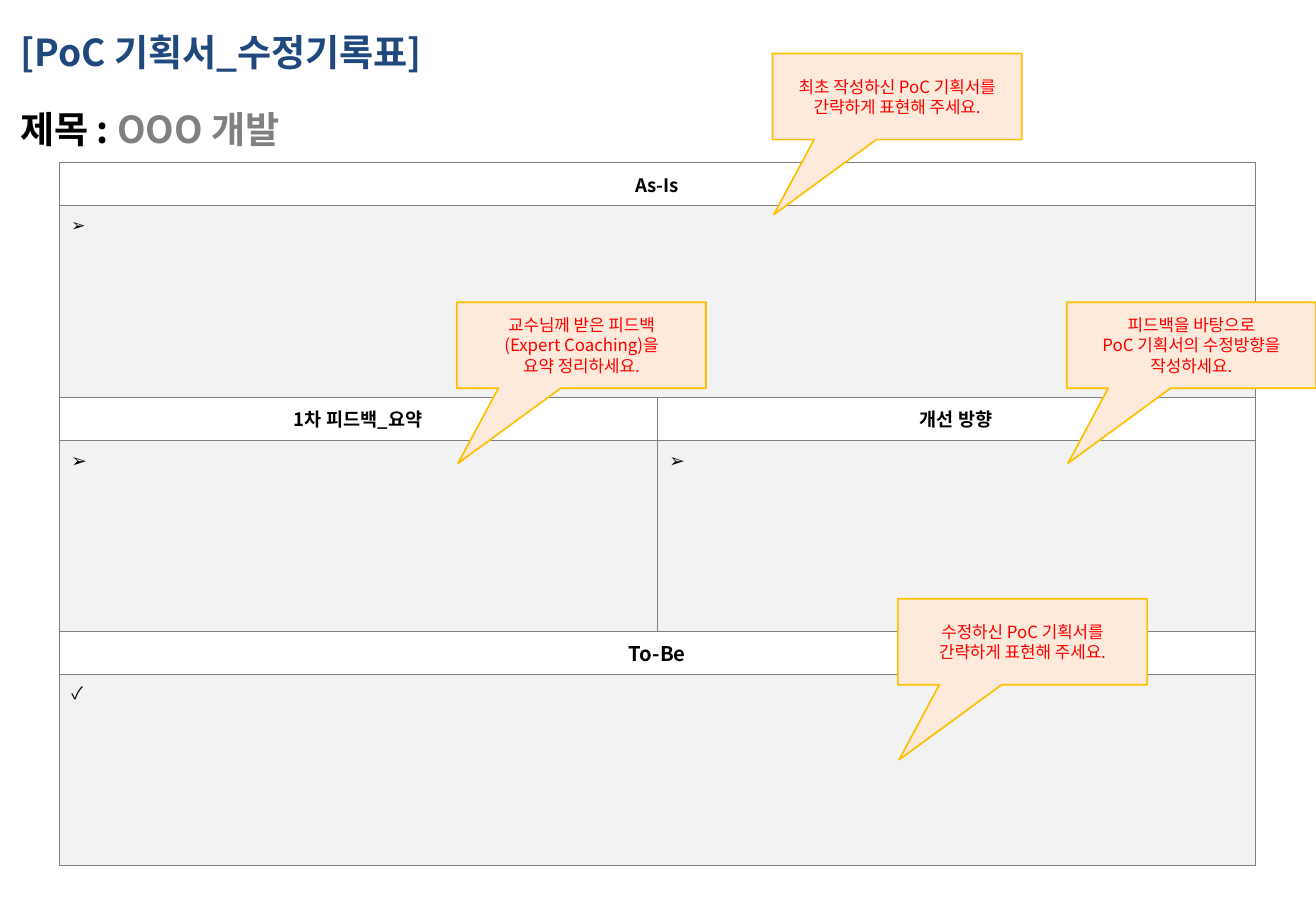
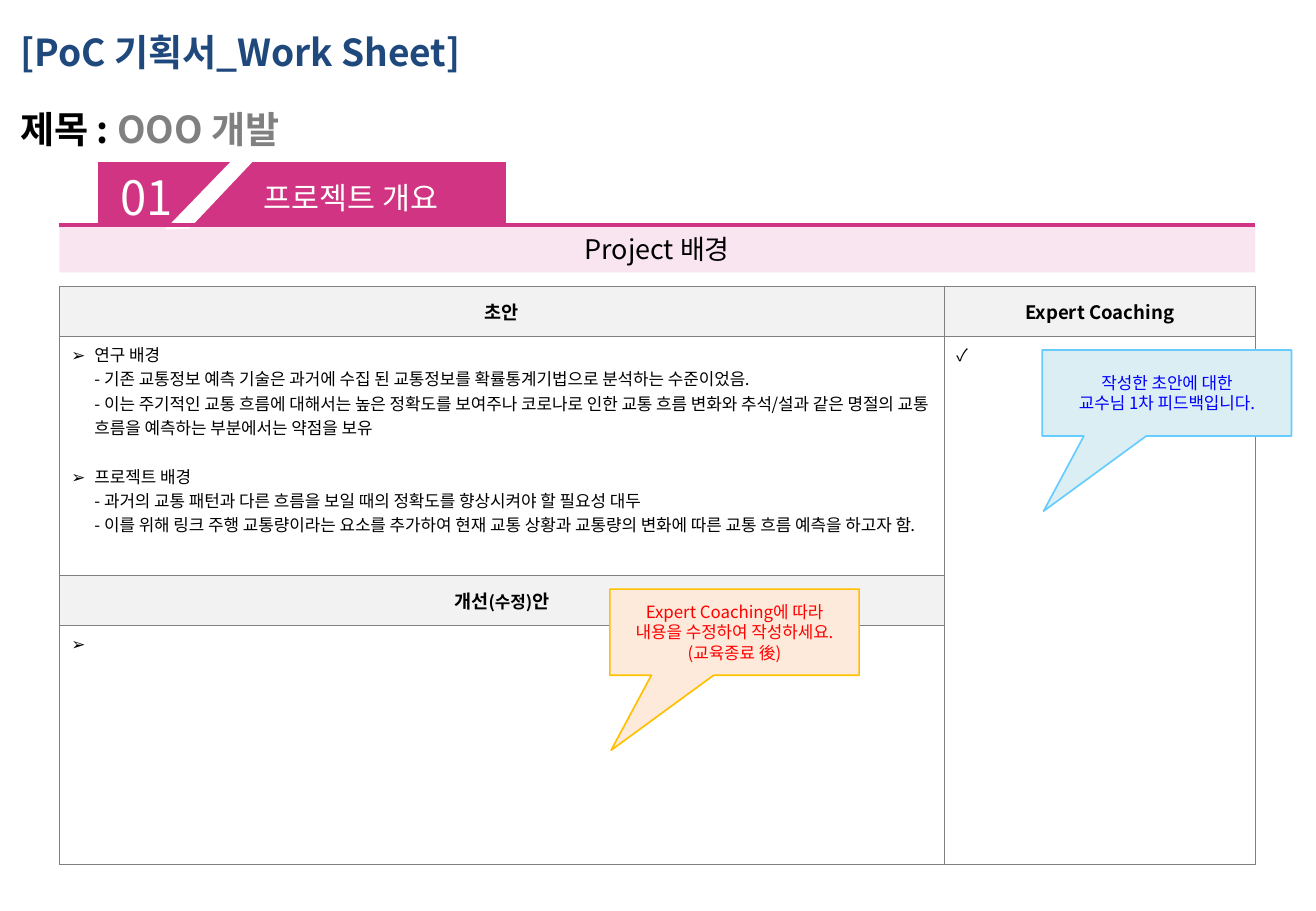
"""Build the PoC plan revision record and work sheet slides."""
from dataclasses import dataclass
from typing import Any, Optional

from lxml import etree
from pptx import Presentation
from pptx import util as u
from pptx.dml.color import RGBColor
from pptx.enum import shapes, text
from pptx.oxml import ns

Cm, Pt = u.Cm, u.Pt
FACE = "Noto Sans CJK KR"
NAVY, BLACK, GRAY, WHITE, PALE = "1F497D", "000000", "808080", "FFFFFF", "F2F2F2"
PINK, BLUSH = "D03482", "F9E5EF"
LEFT, WIDE = 1.24, 25
MID = text.PP_ALIGN.CENTER
ARROW, CHECK = "➢", "✓"


@dataclass
class Run:
    words: str
    size: Optional[float] = None
    color: Optional[str] = None


@dataclass
class Para:
    runs: list[Run]
    size: float = 10
    color: str = BLACK
    bold: bool = False
    align: Any = None
    mark: str = ""
    line: Optional[float] = None
    before: float = 0
    after: float = 0


@dataclass
class Tone:
    fill: str
    edge: str
    ink: str


@dataclass
class Note:
    left: float
    top: float
    lines: list[str]
    tone: Tone


@dataclass
class Cell:
    row: int
    col: int
    paras: list[Para]
    fill: str = WHITE
    down: int = 1
    over: int = 1


WARM = Tone("FDEADA", "FFC000", "FF0000")
COOL = Tone("DBEEF4", "66CCFF", "0000FF")


def rgb(code: str) -> RGBColor:
    """Turn a hex string into a colour."""
    return RGBColor.from_string(code)


def paint(part: Any, code: str) -> None:
    """Give a shape or cell a solid fill."""
    part.fill.solid()
    part.fill.fore_color.rgb = rgb(code)


def write(frame: Any, paras: list[Para]) -> None:
    """Write paragraphs into a text frame."""
    for num, item in enumerate(paras):
        para = frame.add_paragraph() if num else frame.paragraphs[0]
        if item.mark:
            props = para._p.get_or_add_pPr()
            props.set("marL", str(Cm(0.48)))
            props.set("indent", str(Cm(-0.48)))
            etree.SubElement(props, ns.qn("a:buFont")).set("typeface", FACE)
            etree.SubElement(props, ns.qn("a:buChar")).set("char", item.mark)
        para.alignment = item.align
        para.line_spacing = item.line
        para.space_before = Pt(item.before)
        para.space_after = Pt(item.after)
        font = para.font
        font.size, font.bold, font.name = Pt(item.size), item.bold, FACE
        font.color.rgb = rgb(item.color)
        etree.SubElement(font._element, ns.qn("a:ea")).set("typeface", FACE)
        for part in item.runs:
            for step, words in enumerate(part.words.split("\n")):
                if step:
                    para.add_line_break()
                run = para.add_run()
                run.text = words
                if part.size:
                    run.font.size = Pt(part.size)
                if part.color:
                    run.font.color.rgb = rgb(part.color)


def label(slide: Any, box: tuple, paras: list[Para]) -> None:
    """Add a text box."""
    frame = slide.shapes.add_textbox(*map(Cm, box)).text_frame
    frame.word_wrap = True
    write(frame, paras)


def block(slide: Any, kind: Any, box: tuple, fill: str, edge: str = "") -> Any:
    """Add a flat preset shape."""
    shape = slide.shapes.add_shape(kind, *map(Cm, box))
    shape.shadow.inherit = False
    paint(shape, fill)
    if edge:
        shape.line.color.rgb = rgb(edge)
        shape.line.width = Pt(1)
    else:
        shape.line.fill.background()
    shape.text_frame.vertical_anchor = text.MSO_ANCHOR.MIDDLE
    return shape


def callout(slide: Any, note: Note) -> None:
    """Add a speech box with its tail at lower left."""
    kind = shapes.MSO_SHAPE.RECTANGULAR_CALLOUT
    tone = note.tone
    shape = block(slide, kind, (note.left, note.top, 5.21, 1.8), tone.fill, tone.edge)
    shape.adjustments[0], shape.adjustments[1] = -0.495, 1.372
    write(shape.text_frame, [Para([Run(words)], color=tone.ink, align=MID)
                             for words in note.lines])


def border(cell: Any) -> None:
    """Draw thin gray lines round a cell."""
    props = cell._tc.get_or_add_tcPr()
    for num, side in enumerate(("lnL", "lnR", "lnT", "lnB")):
        line = etree.Element(ns.qn("a:" + side), w=str(Pt(0.5)))
        fill = etree.SubElement(line, ns.qn("a:solidFill"))
        etree.SubElement(fill, ns.qn("a:srgbClr")).set("val", GRAY)
        props.insert(num, line)


def grid(slide: Any, top: float, cols: list[float], rows: list[float],
         cells: list[Cell]) -> None:
    """Add a bordered table."""
    table = slide.shapes.add_table(len(rows), len(cols), Cm(LEFT), Cm(top),
                                   Cm(sum(cols)), Cm(sum(rows))).table
    table.first_row = table.horz_banding = False
    for col, width in zip(table.columns, cols):
        col.width = Cm(width)
    for row, height in zip(table.rows, rows):
        row.height = Cm(height)
    for cell in table.iter_cells():
        paint(cell, WHITE)
        border(cell)
    for item in cells:
        cell = table.cell(item.row, item.col)
        if item.down * item.over > 1:
            cell.merge(table.cell(item.row + item.down - 1, item.col + item.over - 1))
        paint(cell, item.fill)
        if item.paras[0].align == MID:
            cell.vertical_anchor = text.MSO_ANCHOR.MIDDLE
        write(cell.text_frame, item.paras)


def head(*runs: Run, size: float = 11) -> list[Para]:
    """Make a bold centred cell heading."""
    return [Para(list(runs), size, bold=True, align=MID)]


def point(words: str = " ", mark: str = ARROW, size: float = 10,
          after: float = 0) -> Para:
    """Make a bulleted paragraph."""
    return Para([Run(words)], size, mark=mark, after=after)


def start(deck: Any, title: str) -> Any:
    """Add a slide with its title and subject."""
    slide = deck.slides.add_slide(deck.slide_layouts[6])
    label(slide, (0, 0.03, 27.51, 3.3), [
        Para([Run(title)], 22, NAVY, True, line=1.5, before=6),
        Para([Run(" 제목 : "), Run("OOO 개발", color=GRAY)], 22, bold=True,
             line=1.5, before=6)])
    return slide


def banner(slide: Any) -> None:
    """Draw the numbered section banner."""
    rect = shapes.MSO_SHAPE.RECTANGLE
    block(slide, rect, (2.06, 3.4, 8.51, 1.32), PINK, PINK)
    label(slide, (5.26, 3.63, 5.2, 1.02), [Para([Run("프로젝트 개요")], 18, WHITE)])
    label(slide, (2.26, 3.4, 2, 1.45), [Para([Run("01")], 28, WHITE)])
    bar = block(slide, rect, (LEFT, 4.7, WIDE, 1), BLUSH)
    write(bar.text_frame, [Para([Run("Project 배경")], 16, align=MID)])
    first, *rest = [(Cm(x), Cm(y)) for x, y in
                    ((3.45, 4.8), (4.9, 3.3), (5.36, 3.3), (3.96, 4.78))]
    pen = slide.shapes.build_freeform(*first)
    pen.add_line_segments(rest)
    slash = pen.convert_to_shape()
    slash.shadow.inherit = False
    paint(slash, WHITE)
    slash.line.fill.background()
    rule = slide.shapes.add_connector(shapes.MSO_CONNECTOR.STRAIGHT, Cm(LEFT), Cm(4.7),
                                      Cm(LEFT + WIDE), Cm(4.7))
    rule.line.color.rgb = rgb(PINK)
    rule.line.width = Pt(2.5)
    etree.SubElement(rule._element.spPr, ns.qn("a:effectLst"))


def record(deck: Any) -> None:
    """Build the revision record."""
    slide = start(deck, " [PoC 기획서_수정기록표] ")
    grid(slide, 3.4, [WIDE / 2] * 2, [0.9, 4] * 3, [
        Cell(0, 0, head(Run("As-Is")), over=2),
        Cell(1, 0, [point()], PALE, over=2),
        Cell(2, 0, head(Run("1차 피드백_요약"))),
        Cell(2, 1, head(Run("개선 방향"))),
        Cell(3, 0, [point(size=11)], PALE),
        Cell(3, 1, [point(size=11)], PALE),
        Cell(4, 0, head(Run("To-Be"), size=12), over=2),
        Cell(5, 0, [point(mark=CHECK)], PALE, over=2)])
    for note in (
            Note(16.15, 1.12, ["최초 작성하신 PoC 기획서를 간략하게 표현해 주세요."], WARM),
            Note(9.55, 6.32, ["교수님께 받은 피드백\n(Expert Coaching)을",
                              "요약 정리하세요."], WARM),
            Note(22.3, 6.32, ["피드백을 바탕으로",
                              "PoC 기획서의 수정방향을 작성하세요."], WARM),
            Note(18.77, 12.52, ["수정하신 PoC 기획서를", "간략하게 표현해 주세요."], WARM)):
        callout(slide, note)


def sheet(deck: Any) -> None:
    """Build the work sheet."""
    slide = start(deck, " [PoC 기획서_Work Sheet]")
    banner(slide)
    study = ("연구 배경\n- 기존 교통정보 예측 기술은 과거에 수집 된 교통정보를 "
             "확률통계기법으로 분석하는 수준이었음.\n"
             "- 이는 주기적인 교통 흐름에 대해서는 높은 정확도를 보여주나 코로나로 인한 "
             "교통 흐름 변화와 추석/설과 같은 명절의 교통 흐름을 예측하는 부분에서는 약점을 보유")
    goal = ("프로젝트 배경\n- 과거의 교통 패턴과 다른 흐름을 보일 때의 정확도를 "
            "향상시켜야 할 필요성 대두\n"
            "- 이를 위해 링크 주행 교통량이라는 요소를 추가하여 현재 교통 상황과 "
            "교통량의 변화에 따른 교통 흐름 예측을 하고자 함.")
    grid(slide, 5.99, [18.5, 6.5], [1.04, 5] * 2, [
        Cell(0, 0, head(Run("초안")), PALE),
        Cell(0, 1, head(Run("Expert Coaching")), PALE),
        Cell(1, 0, [point(study, after=14.5), point(goal)]),
        Cell(1, 1, [point(mark=CHECK)], down=3),
        Cell(2, 0, head(Run("개선"), Run("(수정)", 10), Run("안")), PALE),
        Cell(3, 0, [point()])])
    for note in (
            Note(12.75, 12.32, ["Expert Coaching에 따라", "내용을 수정하여 작성하세요.",
                                "(교육종료 後)"], WARM),
            Note(21.79, 7.32, ["작성한 초안에 대한", "교수님 1차 피드백입니다."], COOL)):
        callout(slide, note)


def main() -> None:
    """Build and save the deck."""
    deck = Presentation()
    deck.slide_width, deck.slide_height = Cm(27.51), Cm(19.05)
    record(deck)
    sheet(deck)
    deck.save("out.pptx")


main()
